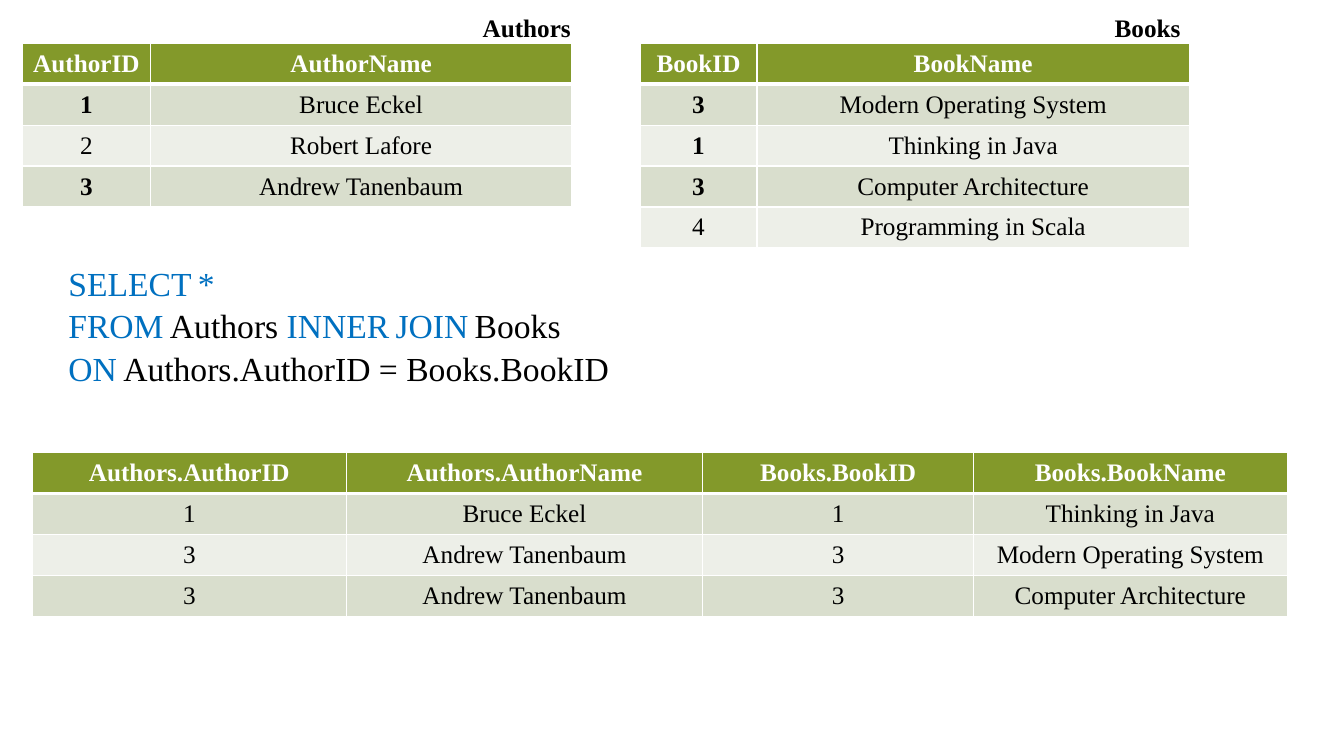
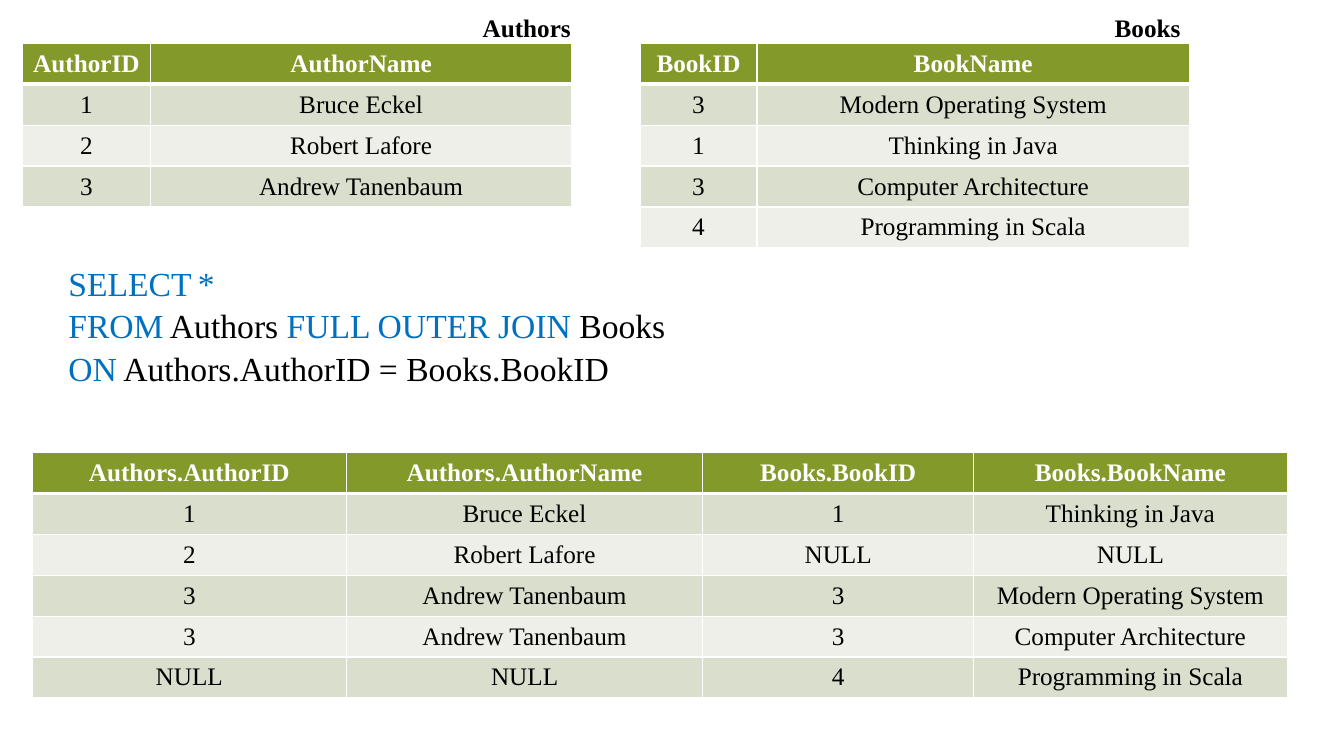
from lxml import etree
from pptx import Presentation
from pptx.dml.color import RGBColor
from pptx.enum import text
from pptx.oxml import ns
from pptx.util import Pt

COLORS = {
    "white": "FFFFFF",
    "black": "000000",
    "header": "83992A",
    "odd": "D9DECD",
    "even": "EDEFE8",
    "keyword": "0070C0",
}
FONT = "Times New Roman"
ROW_HEIGHT = 29.2
SPAN_STYLES = {
    "keyword": ("keyword", 24),
    "plain": ("black", 24),
    "gap": ("black", 18),
}


def add_span(para, words, color="black", size=18, bold=False):
    span = para.add_run()
    span.text = words
    for name, value in {"name": FONT, "size": Pt(size), "bold": bold}.items():
        setattr(span.font, name, value)
    span.font.color.rgb = RGBColor.from_string(COLORS[color])


def add_grid(page, left, top, widths, rows, bold_keys=()):
    frame = page.shapes.add_table(len(rows), len(widths), Pt(left), Pt(top),
                                  Pt(sum(widths)), Pt(ROW_HEIGHT * len(rows)))
    table = frame.table
    for column, width in zip(table.columns, widths):
        column.width = Pt(width)
    for r, values in enumerate(rows):
        table.rows[r].height = Pt(ROW_HEIGHT)
        fill = "header" if r == 0 else "odd" if r % 2 else "even"
        edges = {"lnL": 1, "lnR": 1, "lnT": 3 if r == 1 else 1, "lnB": 3 if r == 0 else 1}
        for c, value in enumerate(values):
            cell = table.cell(r, c)
            properties = cell._tc.get_or_add_tcPr()
            for edge, weight in edges.items():
                line = etree.SubElement(properties, ns.qn(f"a:{edge}"), w=str(Pt(weight)))
                solid = etree.SubElement(line, ns.qn("a:solidFill"))
                etree.SubElement(solid, ns.qn("a:srgbClr"), val=COLORS["white"])
            cell.fill.solid()
            cell.fill.fore_color.rgb = RGBColor.from_string(COLORS[fill])
            cell.vertical_anchor = text.MSO_ANCHOR.MIDDLE
            para = cell.text_frame.paragraphs[0]
            para.alignment = text.PP_ALIGN.CENTER
            bold = r == 0 or (c == 0 and value in bold_keys)
            add_span(para, value, "black" if r else "white", bold=bold)


authors = [
    ("AuthorID", "AuthorName"),
    ("1", "Bruce Eckel"),
    ("2", "Robert Lafore"),
    ("3", "Andrew Tanenbaum"),
]
books = [
    ("BookID", "BookName"),
    ("3", "Modern Operating System"),
    ("1", "Thinking in Java"),
    ("3", "Computer Architecture"),
    ("4", "Programming in Scala"),
]
result_header = ("Authors.AuthorID", "Authors.AuthorName", "Books.BookID", "Books.BookName")
labels = [("Authors", 337.7, 81.4), ("Books", 789.1, 68.4)]

joins = [
    {
        "bold_keys": ("1", "3"),
        "clause": [("INNER", "keyword"), (" ", "gap"), ("JOIN", "keyword"), (" ", "gap")],
        "result": [
            ("1", "Bruce Eckel", "1", "Thinking in Java"),
            ("3", "Andrew Tanenbaum", "3", "Modern Operating System"),
            ("3", "Andrew Tanenbaum", "3", "Computer Architecture"),
        ],
    },
    {
        "bold_keys": (),
        "clause": [("FULL OUTER JOIN ", "keyword")],
        "result": [
            ("1", "Bruce Eckel", "1", "Thinking in Java"),
            ("2", "Robert Lafore", "NULL", "NULL"),
            ("3", "Andrew Tanenbaum", "3", "Modern Operating System"),
            ("3", "Andrew Tanenbaum", "3", "Computer Architecture"),
            ("NULL", "NULL", "4", "Programming in Scala"),
        ],
    },
]

deck = Presentation()
deck.slide_width, deck.slide_height = Pt(960), Pt(540)

for join in joins:
    page = deck.slides.add_slide(deck.slide_layouts[6])
    page.background.fill.solid()
    page.background.fill.fore_color.rgb = RGBColor.from_string(COLORS["white"])

    add_grid(page, 16, 31, (91.5, 301), authors, join["bold_keys"])
    add_grid(page, 457.2, 31, (83.5, 309), books, join["bold_keys"])

    query = [
        [("SELECT", "keyword"), (" ", "gap"), ("*", "keyword")],
        [("FROM", "keyword"), (" ", "gap"), ("Authors ", "plain"),
         *join["clause"], ("Books", "plain")],
        [("ON", "keyword"), (" ", "gap"), ("Authors.AuthorID = Books.BookID", "plain")],
    ]
    box = page.shapes.add_textbox(Pt(41.8), Pt(182.9), Pt(543), Pt(116.6))
    box.text_frame.word_wrap = True
    for i, spans in enumerate(query):
        para = box.text_frame.paragraphs[0] if i == 0 else box.text_frame.add_paragraph()
        para.line_spacing = 1.05
        for words, style in spans:
            add_span(para, words, *SPAN_STYLES[style])

    add_grid(page, 23, 323.3, (224.5, 254.5, 193.5, 224), [result_header, *join["result"]])

    for label, left, width in labels:
        box = page.shapes.add_textbox(Pt(left), Pt(5), Pt(width), Pt(29))
        box.text_frame.word_wrap = True
        box.text_frame.vertical_anchor = text.MSO_ANCHOR.MIDDLE
        add_span(box.text_frame.paragraphs[0], label, bold=True)

deck.save("out.pptx")
